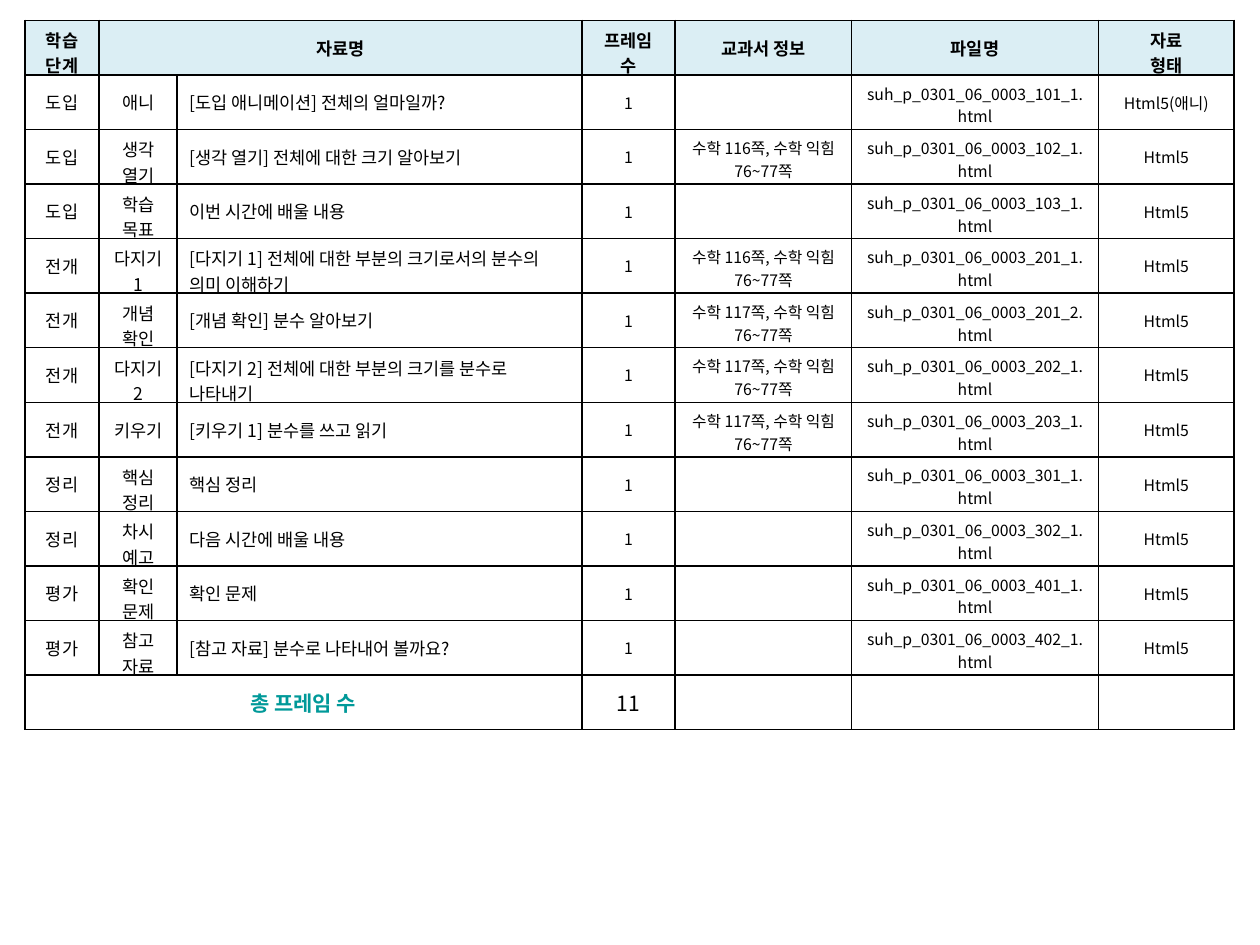
from lxml.etree import SubElement
from pptx import Presentation
from pptx.dml.color import RGBColor
from pptx.enum.text import MSO_ANCHOR, PP_ALIGN
from pptx.oxml import parse_xml
from pptx.oxml.ns import nsdecls, qn
from pptx.util import Cm, Pt

FONT = "Noto Sans CJK KR"
COLORS = {"header": "DBEEF4", "body": "FFFFFF", "text": "000000",
          "total": "009999", "border": "000000"}
COLUMN_WIDTHS = [1.5, 1.57, 8.16, 1.88, 3.56, 4.97, 2.74]
ROW_HEIGHT = 1.1
BODY_SIZES = [10, 10, 10, 9, 9, 9, 9]
LINE_CAPACITIES = [3, 3, 25, 4, 10, 20, 20]
TWO_LINE_BOTTOM_INSETS = {10: -0.08, 9: 0.03}
TITLE_COLUMN = 2
FRAME_COLUMN = 3

HEADER = ["학습 단계", "자료명", "", "프레임 수", "교과서 정보", "파일명", "자료\n형태"]
LESSONS = [
    ("도입", "애니", "[도입 애니메이션] 전체의 얼마일까?", "", "101_1", "Html5(애니)"),
    ("도입", "생각 열기", "[생각 열기] 전체에 대한 크기 알아보기", "116", "102_1", "Html5"),
    ("도입", "학습 목표", "이번 시간에 배울 내용", "", "103_1", "Html5"),
    ("전개", "다지기 1", "[다지기 1] 전체에 대한 부분의 크기로서의 분수의 의미 이해하기",
     "116", "201_1", "Html5"),
    ("전개", "개념 확인", "[개념 확인] 분수 알아보기", "117", "201_2", "Html5"),
    ("전개", "다지기 2", "[다지기 2] 전체에 대한 부분의 크기를 분수로 나타내기",
     "117", "202_1", "Html5"),
    ("전개", "키우기", "[키우기 1] 분수를 쓰고 읽기", "117", "203_1", "Html5"),
    ("정리", "핵심 정리", "핵심 정리", "", "301_1", "Html5"),
    ("정리", "차시 예고", "다음 시간에 배울 내용", "", "302_1", "Html5"),
    ("평가", "확인 문제", "확인 문제", "", "401_1", "Html5"),
    ("평가", "참고 자료", "[참고 자료] 분수로 나타내어 볼까요?", "", "402_1", "Html5"),
]


def lesson_texts(stage, activity, title, page, file_code, file_type):
    textbook = f"수학 {page}쪽, 수학 익힘 76~77쪽" if page else ""
    file_name = f"suh_p_0301_06_0003_{file_code}.html"
    return [stage, activity, title, "1", textbook, file_name, file_type]


def add_borders(cell):
    properties = cell._tc.get_or_add_tcPr()
    for position, side in enumerate(("lnL", "lnR", "lnT", "lnB")):
        border = parse_xml(
            f'<a:{side} {nsdecls("a")} w="12700"><a:solidFill>'
            f'<a:srgbClr val="{COLORS["border"]}"/></a:solidFill></a:{side}>')
        properties.insert(position, border)


def style_cell(cell, fill):
    cell.fill.solid()
    cell.fill.fore_color.rgb = RGBColor.from_string(COLORS[fill])
    cell.vertical_anchor = MSO_ANCHOR.MIDDLE
    add_borders(cell)


def write_cell(cell, text, size, bold=False, color="text", align=PP_ALIGN.CENTER):
    cell.text = text
    for paragraph in cell.text_frame.paragraphs:
        paragraph.alignment = align
        font = paragraph.font
        font.size = Pt(size)
        font.bold = bold
        font.color.rgb = RGBColor.from_string(COLORS[color])
        font.name = FONT
        defaults = paragraph._p.pPr.find(qn("a:defRPr"))
        defaults.set("kern", "0")
        SubElement(defaults, qn("a:ea")).set("typeface", FONT)


def fit_two_lines(cell, text, column, size):
    if "\n" in text or len(text) > LINE_CAPACITIES[column]:
        cell.margin_bottom = Cm(TWO_LINE_BOTTOM_INSETS[size])


def add_lesson_table(slide):
    row_count = len(LESSONS) + 2
    table = slide.shapes.add_table(
        row_count, len(COLUMN_WIDTHS), Cm(0.5), Cm(0.41),
        Cm(sum(COLUMN_WIDTHS)), Cm(ROW_HEIGHT * row_count)).table
    for column, width in zip(table.columns, COLUMN_WIDTHS):
        column.width = Cm(width)
    for index, row in enumerate(table.rows):
        row.height = Cm(ROW_HEIGHT)
        for cell in row.cells:
            style_cell(cell, "body" if index else "header")
    return table


def fill_header(table):
    table.cell(0, 1).merge(table.cell(0, 2))
    for column, text in enumerate(HEADER):
        if text:
            cell = table.cell(0, column)
            write_cell(cell, text, 10, bold=True)
            if column not in (1, 4, 5):
                fit_two_lines(cell, text, column, 10)
    frame_count = table.cell(0, FRAME_COLUMN)
    frame_count.margin_left = frame_count.margin_right = Cm(0.3)


def fill_lessons(table):
    for row, lesson in enumerate(LESSONS, start=1):
        for column, text in enumerate(lesson_texts(*lesson)):
            cell = table.cell(row, column)
            size = BODY_SIZES[column]
            align = PP_ALIGN.LEFT if column == TITLE_COLUMN else PP_ALIGN.CENTER
            write_cell(cell, text, size, align=align)
            fit_two_lines(cell, text, column, size)


def fill_total(table):
    row = len(LESSONS) + 1
    table.cell(row, 0).merge(table.cell(row, 2))
    write_cell(table.cell(row, 0), "총 프레임 수", 12, bold=True, color="total")
    write_cell(table.cell(row, 3), str(len(LESSONS)), 12)


def main():
    presentation = Presentation()
    presentation.slide_width = Cm(25.4)
    presentation.slide_height = Cm(19.05)
    slide = presentation.slides.add_slide(presentation.slide_layouts[6])
    table = add_lesson_table(slide)
    fill_header(table)
    fill_lessons(table)
    fill_total(table)
    presentation.save("out.pptx")


if __name__ == "__main__":
    main()
